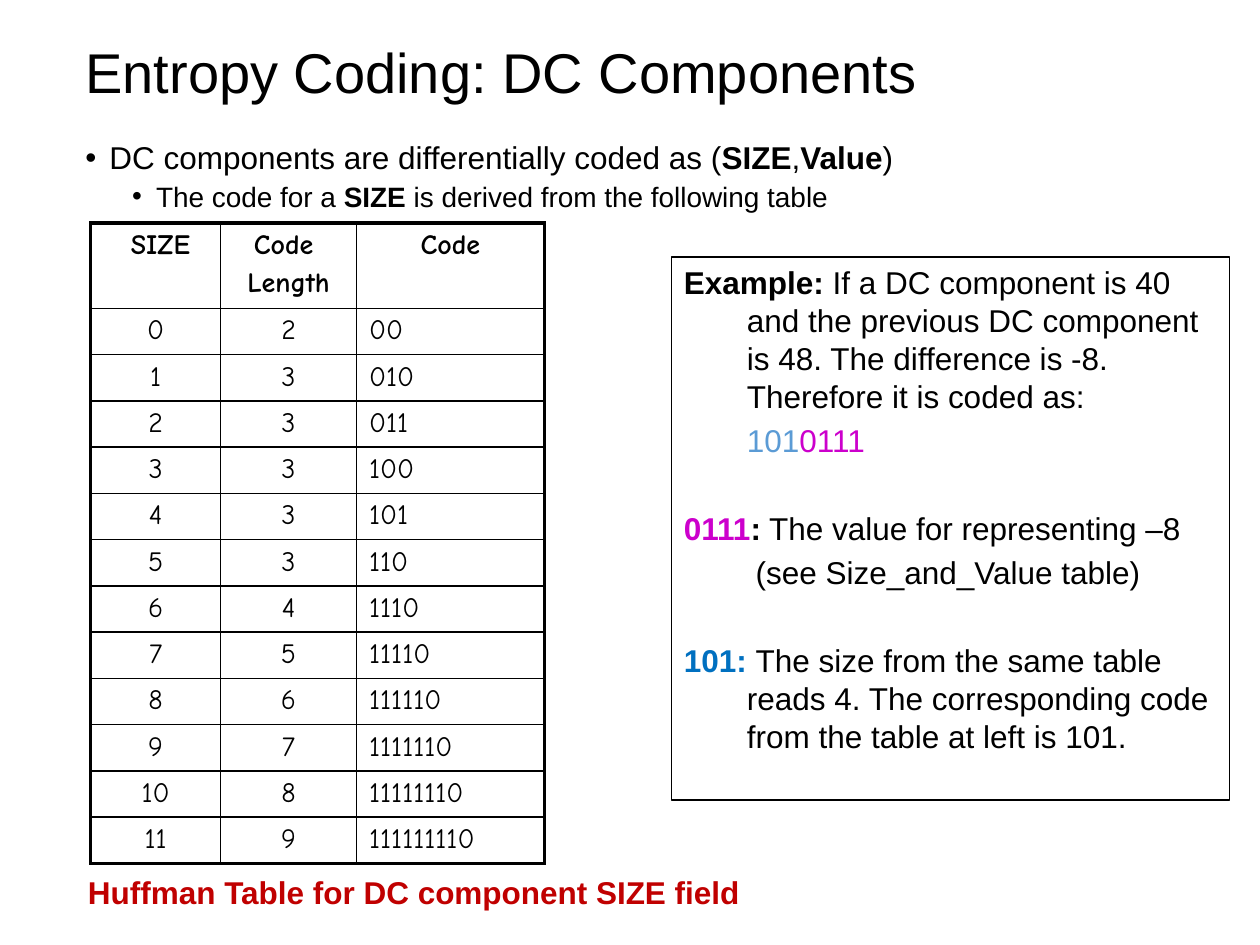
"""Build the slide on entropy coding of DC components."""
from lxml.etree import SubElement
from pptx import Presentation
from pptx.dml.color import RGBColor
from pptx.enum.shapes import MSO_SHAPE
from pptx.enum.text import MSO_ANCHOR, PP_ALIGN
from pptx.oxml.ns import qn
from pptx.util import Inches, Pt

COLORS = {
    "black": "000000",
    "light_blue": "5B9BD5",
    "blue": "0070C0",
    "magenta": "CC00CC",
    "red": "C00000",
}


def write_paragraph(frame, runs, size, font="Arial", before=0, left=0, hanging=0, bullet=None):
    paragraph = frame.paragraphs[0]
    if paragraph.runs:
        paragraph = frame.add_paragraph()
    properties = paragraph._p.get_or_add_pPr()
    properties.set("marL", str(Inches(left)))
    properties.set("indent", str(-Inches(hanging)))
    if bullet:
        SubElement(properties, qn("a:buFont"), typeface="Arial")
        SubElement(properties, qn("a:buChar"), char=bullet)
    paragraph.space_before = Pt(before)
    paragraph.font.size = Pt(size)
    paragraph.font.name = font
    for text, color, bold in runs:
        run = paragraph.add_run()
        run.text = text
        run.font.bold = bold
        run.font.color.rgb = RGBColor.from_string(COLORS[color])
    return paragraph


def add_text(left, top, width, height):
    frame = slide.shapes.add_textbox(
        Inches(left), Inches(top), Inches(width), Inches(height)
    ).text_frame
    frame.word_wrap = True
    return frame


presentation = Presentation()
presentation.slide_width = Inches(10)
presentation.slide_height = Inches(7.5)
slide = presentation.slides.add_slide(presentation.slide_layouts[6])

title = add_text(0.58, 0.25, 8.67, 0.7)
title.vertical_anchor = MSO_ANCHOR.MIDDLE
write_paragraph(title, [("Entropy Coding: DC Components", "black", False)], 32).line_spacing = 0.9

codes = ["00", "010", "011", "100", "101", "110", "1110", "11110",
         "111110", "1111110", "11111110", "111111110"]
rows = [(" SIZE", "Code \nLength", "Code")]
rows += [(str(size), str(len(code)), code) for size, code in enumerate(codes)]
widths = [1.03, 1.08, 1.49]
table = slide.shapes.add_table(
    len(rows), len(widths), Inches(0.72), Inches(1.77), Inches(3.6), Inches(4.98)
).table
table.first_row = False
table.horz_banding = False
for column, width in zip(table.columns, widths):
    column.width = Inches(width)
for row_index, values in enumerate(rows):
    header = row_index == 0
    table.rows[row_index].height = Inches(0.66 if header else 0.355)
    for column_index, value in enumerate(values):
        cell = table.cell(row_index, column_index)
        centered = header or column_index < 2
        for line_index, line in enumerate(value.split("\n")):
            paragraph = write_paragraph(
                cell.text_frame, [(line, "black", header)], 16, "Comic Neue", 3.2 * line_index
            )
            paragraph.alignment = PP_ALIGN.CENTER if centered else PP_ALIGN.LEFT
        outer_edges = {
            "a:lnL": column_index == 0,
            "a:lnR": column_index == len(widths) - 1,
            "a:lnT": header,
            "a:lnB": row_index == len(rows) - 1,
        }
        properties = cell._tc.get_or_add_tcPr()
        for tag, outer in outer_edges.items():
            border = SubElement(properties, qn(tag), w=str(Pt(2.25 if outer else 1)))
            fill = SubElement(border, qn("a:solidFill"))
            SubElement(fill, qn("a:srgbClr"), val=COLORS["black"])
        cell.fill.background()

body = add_text(0.58, 1.08, 8.71, 0.7)
bullets = [
    (18, 0, 0.19, [("DC components are differentially coded as (", "black", False),
                   ("SIZE", "black", True), (",", "black", False),
                   ("Value", "black", True), (")", "black", False)]),
    (16, 3.8, 0.56, [("The code for a ", "black", False), ("SIZE", "black", True),
                     (" is derived from the following table", "black", False)]),
]
for level, (size, before, left, runs) in enumerate(bullets):
    paragraph = write_paragraph(body, runs, size, before=before, left=left, hanging=0.19, bullet="•")
    paragraph.level = level
    paragraph.line_spacing = 0.9

example = slide.shapes.add_shape(
    MSO_SHAPE.RECTANGLE, Inches(5.33), Inches(2.04), Inches(4.43), Inches(4.31)
)
example.shadow.inherit = False
example.fill.background()
example.line.color.rgb = RGBColor.from_string(COLORS["black"])
example.line.width = Pt(0.75)
example.text_frame.word_wrap = True
example.text_frame.vertical_anchor = MSO_ANCHOR.TOP
example_paragraphs = [
    (0, [("Example: ", "black", True),
         ("If a DC component is 40 and the previous DC component is 48. "
          "The difference is -8. Therefore it is coded as:", "black", False)]),
    (3.6, [("\t", "black", False), ("101", "light_blue", False), ("0111", "magenta", False)]),
    (28.8, [("0111", "magenta", True), (":", "black", True),
            (" The value for representing –8", "black", False)]),
    (3.6, [("\t (see Size_and_Value table)", "black", False)]),
    (28.8, [("101: ", "blue", True),
            ("The size from the same table reads 4. The corresponding code "
             "from the table at left is 101.", "black", False)]),
]
for before, runs in example_paragraphs:
    paragraph = write_paragraph(
        example.text_frame, runs, 18, before=before, left=0.5, hanging=0.5
    )
    paragraph.alignment = PP_ALIGN.LEFT

caption = add_text(0.6, 6.88, 6.37, 0.4)
write_paragraph(caption, [("Huffman Table for DC component SIZE field", "red", True)], 18)

presentation.save("out.pptx")
